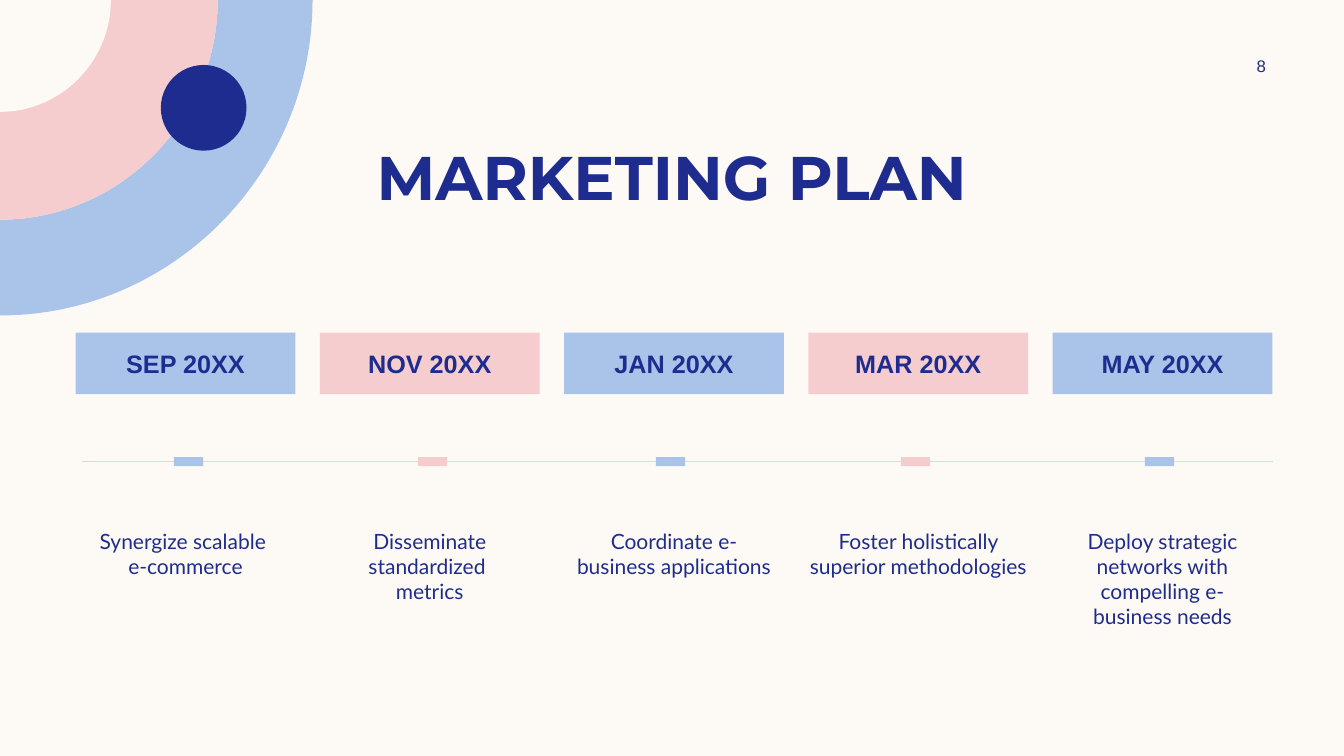
import pptx
import pptx.util
import pptx.dml.color
import pptx.enum.shapes
import pptx.enum.text
import pptx.oxml

Inches = pptx.util.Inches
RGBColor = pptx.dml.color.RGBColor
MSO_SHAPE = pptx.enum.shapes.MSO_SHAPE
MSO_ANCHOR = pptx.enum.text.MSO_ANCHOR
NAMESPACE = 'xmlns:a="http://schemas.openxmlformats.org/drawingml/2006/main"'

# Colours
CREAM = RGBColor(0xFD, 0xFA, 0xF6)
NAVY = RGBColor(0x1F, 0x2C, 0x8F)
BLUE = RGBColor(0xAA, 0xC3, 0xE8)
PINK = RGBColor(0xF5, 0xCD, 0xCE)
LINE_PINK = RGBColor(0xF2, 0xD1, 0xD1)

# Content
TITLE = "MARKETING PLAN"
PAGE_NUMBER = "8"
MILESTONES = [  # date, task, centre of the marker on the timeline
    ("SEP 20XX", "Synergize scalable \ve-commerce", 1.87),
    ("NOV 20XX", "Disseminate standardized \vmetrics", 4.29),
    ("JAN 20XX", "Coordinate e-\vbusiness applications", 6.65),
    ("MAR 20XX", "Foster holistically superior methodologies", 9.08),
    ("MAY 20XX", "Deploy strategic networks with compelling e-\vbusiness needs", 11.5),
]
CORNER_BANDS = [  # outer radii, inner radii (across, down), colour
    ((3.1, 3.13), (2.16, 2.18), BLUE),
    ((2.16, 2.18), None, PINK),
    ((1.1, 1.11), None, CREAM),
]

# Text formats
TITLE_FONT = {"name": "Montserrat", "size": pptx.util.Pt(44), "bold": True}
NUMBER_FONT = {"name": "Arial", "size": pptx.util.Pt(12)}
DATE_FONT = {"name": "Arial", "size": pptx.util.Pt(18), "bold": True}
TASK_FONT = {"name": "Lato", "size": pptx.util.Pt(15)}

# Grid
SLIDE_WIDTH, SLIDE_HEIGHT = 13.33, 7.5
COLUMN_LEFT, COLUMN_WIDTH = 0.75, 2.18
COLUMN_PITCH = (10.44 - COLUMN_LEFT) / (len(MILESTONES) - 1)
DATE_TOP, DATE_HEIGHT = 3.3, 0.61
TIMELINE_Y = 4.58
TASK_TOP, TASK_HEIGHT = 5.19, 0.87
MARKER_WIDTH, MARKER_HEIGHT = 0.09, 0.29
DOT_X, DOT_Y, DOT_SIZE = 2.02, 1.07, 0.85
QUARTER_CURVE = 0.55  # handle length of a quarter circle, as a share of its radius

presentation = pptx.Presentation()
presentation.slide_width = Inches(SLIDE_WIDTH)
presentation.slide_height = Inches(SLIDE_HEIGHT)
slide = presentation.slides.add_slide(presentation.slide_layouts[6])
slide.background.fill.solid()
slide.background.fill.fore_color.rgb = CREAM


def paint(shape, color):
    shape.shadow.inherit = False
    shape.fill.solid()
    shape.fill.fore_color.rgb = color
    shape.line.fill.background()


def add_filled(kind, center_x, center_y, width, height, color):
    shape = slide.shapes.add_shape(
        kind, Inches(center_x - width / 2), Inches(center_y - height / 2),
        Inches(width), Inches(height))
    paint(shape, color)
    return shape


def bend(segment, *points):
    """Turn a straight outline segment into a curve through the given handles."""
    marks = "".join(f'<a:pt x="{Inches(x)}" y="{Inches(y)}"/>' for x, y in points)
    curve = pptx.oxml.parse_xml(f"<a:cubicBezTo {NAMESPACE}>{marks}</a:cubicBezTo>")
    segment.getparent().replace(segment, curve)


def add_corner_band(outer, inner, color):
    across, down = outer
    inner_across, inner_down = inner or (0, 0)
    corners = [(across, 0), (0, down)]
    if inner:
        corners += [(0, inner_down), (inner_across, 0)]
    builder = slide.shapes.build_freeform(Inches(inner_across), 0)
    builder.add_line_segments([(Inches(x), Inches(y)) for x, y in corners], close=True)
    band = builder.convert_to_shape()
    segments = band._element.xpath(".//a:lnTo")
    bend(segments[1], (across, down * QUARTER_CURVE),
         (across * QUARTER_CURVE, down), (0, down))
    if inner:
        bend(segments[3], (inner_across * QUARTER_CURVE, inner_down),
             (inner_across, inner_down * QUARTER_CURVE), (inner_across, 0))
    paint(band, color)


def add_text_box(left, top, width, height):
    return slide.shapes.add_textbox(
        Inches(left), Inches(top), Inches(width), Inches(height))


def write(shape, text, font_format, **frame_format):
    frame = shape.text_frame
    frame.word_wrap = True
    for name, value in frame_format.items():
        setattr(frame, name, value)
    paragraph = frame.paragraphs[0]
    paragraph.text = text
    paragraph.alignment = pptx.enum.text.PP_ALIGN.CENTER
    for run in paragraph.runs:
        run.font.color.rgb = NAVY
        for name, value in font_format.items():
            setattr(run.font, name, value)


# Quarter rings in the corner, and the dot on them
for outer, inner, color in CORNER_BANDS:
    add_corner_band(outer, inner, color)
add_filled(MSO_SHAPE.OVAL, DOT_X, DOT_Y, DOT_SIZE, DOT_SIZE, NAVY)

# Timeline
timeline = slide.shapes.add_connector(
    pptx.enum.shapes.MSO_CONNECTOR.STRAIGHT,
    Inches(0.81), Inches(TIMELINE_Y), Inches(12.63), Inches(TIMELINE_Y))
timeline.line.color.rgb = LINE_PINK
timeline.line.width = pptx.util.Pt(1)
timeline._element.spPr.append(pptx.oxml.parse_xml(f"<a:effectLst {NAMESPACE}/>"))

# Title and page number
write(add_text_box(0.83, 1.33, 11.67, 0.84), TITLE, TITLE_FONT)
write(add_text_box(11.97, 0.5, 1.08, 0.3), PAGE_NUMBER, NUMBER_FONT,
      vertical_anchor=MSO_ANCHOR.MIDDLE)

# Milestones: date, task and marker in alternating colours
for index, (date, task, marker_center) in enumerate(MILESTONES):
    left = COLUMN_LEFT + index * COLUMN_PITCH
    color = (BLUE, PINK)[index % 2]
    date_box = add_filled(
        MSO_SHAPE.RECTANGLE, left + COLUMN_WIDTH / 2, DATE_TOP + DATE_HEIGHT / 2,
        COLUMN_WIDTH, DATE_HEIGHT, color)
    write(date_box, date, DATE_FONT, vertical_anchor=MSO_ANCHOR.MIDDLE,
          margin_left=0, margin_right=0, margin_top=0, margin_bottom=0)
    write(add_text_box(left, TASK_TOP, COLUMN_WIDTH, TASK_HEIGHT), task, TASK_FONT,
          margin_left=0, margin_right=0)
    marker = add_filled(MSO_SHAPE.RECTANGLE, marker_center, TIMELINE_Y,
                        MARKER_WIDTH, MARKER_HEIGHT, color)
    marker.rotation = 270

presentation.save("out.pptx")
